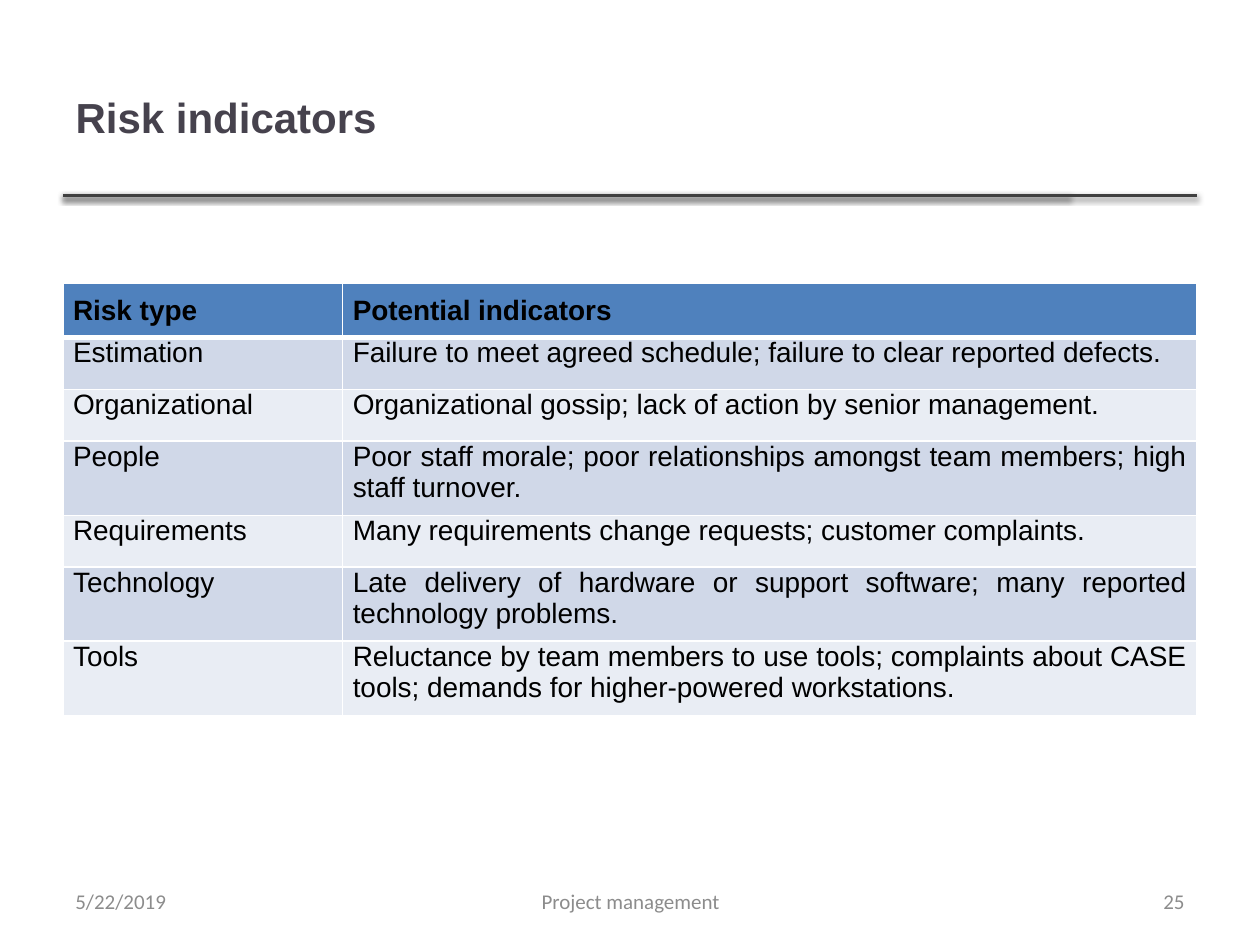
from dataclasses import dataclass

from lxml.etree import SubElement
from pptx import Presentation
from pptx.dml.color import RGBColor
from pptx.enum.shapes import MSO_CONNECTOR
from pptx.enum.text import MSO_ANCHOR, PP_ALIGN
from pptx.oxml import parse_xml
from pptx.oxml.ns import nsdecls, qn
from pptx.util import Inches, Pt

WIDTH, HEIGHT = 10, 7.5
MARGIN = WIDTH * 0.05
CONTENT = WIDTH - 2 * MARGIN
RULE_TOP = 1.55
ROW_HEIGHT, TALL_ROW = 0.41, 0.59
INSET = 0.09

WHITE = RGBColor(0xFF, 0xFF, 0xFF)
BLACK = RGBColor(0, 0, 0)
TITLE_GRAY = RGBColor(0x46, 0x42, 0x4D)
RULE_GRAY = RGBColor(0x40, 0x40, 0x40)
FOOTER_GRAY = RGBColor(0x8C, 0x8C, 0x8C)
HEADER_BLUE = RGBColor(0x4F, 0x81, 0xBD)
BANDS = (RGBColor(0xD0, 0xD8, 0xE8), RGBColor(0xE9, 0xED, 0xF4))


@dataclass(frozen=True)
class Risk:
    kind: str
    indicators: str
    height: float = ROW_HEIGHT


@dataclass(frozen=True)
class Footer:
    text: str
    left: float
    width: float
    align: PP_ALIGN


RISKS = (
    Risk("Risk type", "Potential indicators", 0.43),
    Risk("Estimation", "Failure to meet agreed schedule; failure to clear reported defects."),
    Risk("Organizational", "Organizational gossip; lack of action by senior management."),
    Risk("People", "Poor staff morale; poor relationships amongst team members; "
         "high staff turnover.", TALL_ROW),
    Risk("Requirements", "Many requirements change requests; customer complaints."),
    Risk("Technology", "Late delivery of hardware or support software; "
         "many reported technology problems.", TALL_ROW),
    Risk("Tools", "Reluctance by team members to use tools; complaints about CASE tools; "
         "demands for higher-powered workstations.", TALL_ROW),
)
FOOTERS = (
    Footer("5/22/2019", MARGIN, 2.33, PP_ALIGN.LEFT),
    Footer("Project management", 3.42, 3.17, PP_ALIGN.CENTER),
    Footer("25", WIDTH - MARGIN - 2.33, 2.33, PP_ALIGN.RIGHT),
)


def write(frame, text: str, *, size: float, color: RGBColor, font: str = "Arial",
          bold: bool = False, align: PP_ALIGN = PP_ALIGN.LEFT) -> None:
    para = frame.paragraphs[0]
    para.alignment = align
    span = para.add_run()
    span.text = text
    span.font.size = Pt(size)
    span.font.name = font
    span.font.bold = bold
    span.font.color.rgb = color


def add_rule(page, end: float) -> None:
    rule = page.shapes.add_connector(MSO_CONNECTOR.STRAIGHT, Inches(MARGIN), Inches(RULE_TOP),
                                     Inches(end), Inches(RULE_TOP))
    rule.line.color.rgb = RULE_GRAY
    rule.line.width = Pt(2)
    rule._element.spPr.append(parse_xml(
        f'<a:effectLst {nsdecls("a")}>'
        f'<a:outerShdw blurRad="{Pt(3.1)}" dist="{Pt(1.6)}" dir="5400000" rotWithShape="0">'
        '<a:srgbClr val="000000"><a:alpha val="38000"/></a:srgbClr>'
        '</a:outerShdw></a:effectLst>'))


def add_title(page, text: str) -> None:
    title = page.shapes.title
    title.left, title.top = Inches(MARGIN), Inches(0.3)
    title.width, title.height = Inches(7.98), Inches(RULE_TOP - 0.3)
    title.text_frame.vertical_anchor = MSO_ANCHOR.MIDDLE
    write(title.text_frame, text, size=24, color=TITLE_GRAY, bold=True)


def set_borders(cell, **widths: float) -> None:
    properties = cell._tc.get_or_add_tcPr()
    for position, side in enumerate("LRTB"):
        border = SubElement(properties, qn(f"a:ln{side}"), w=str(Pt(widths.get(side, 1))))
        fill = SubElement(border, qn("a:solidFill"))
        SubElement(fill, qn("a:srgbClr"), val=str(WHITE))
        properties.insert(position, border)


def add_risk_table(page) -> None:
    total = sum(risk.height for risk in RISKS)
    table = page.shapes.add_table(len(RISKS), 2, Inches(MARGIN), Inches(2.25),
                                  Inches(CONTENT), Inches(total)).table
    table.columns[0].width = Inches(2.22)
    table.columns[1].width = Inches(CONTENT - 2.22)
    for index, risk in enumerate(RISKS):
        header = index == 0
        table.rows[index].height = Inches(risk.height)
        for column, text in enumerate((risk.kind, risk.indicators)):
            cell = table.cell(index, column)
            cell.margin_left = cell.margin_right = Inches(0.08)
            cell.margin_top = Inches(INSET if header else 0)
            cell.margin_bottom = Inches(INSET)
            cell.fill.solid()
            cell.fill.fore_color.rgb = HEADER_BLUE if header else BANDS[(index - 1) % 2]
            set_borders(cell, T=3 if index == 1 else 1, B=3 if header else 1)
            write(cell.text_frame, text, size=16, color=BLACK, bold=header,
                  align=PP_ALIGN.JUSTIFY)


def add_footer(page, footer: Footer) -> None:
    box = page.shapes.add_textbox(Inches(footer.left), Inches(6.95),
                                  Inches(footer.width), Inches(0.4))
    box.text_frame.word_wrap = True
    box.text_frame.vertical_anchor = MSO_ANCHOR.MIDDLE
    write(box.text_frame, footer.text, size=12, color=FOOTER_GRAY, font="Calibri",
          align=footer.align)


def main() -> None:
    deck = Presentation()
    deck.slide_width, deck.slide_height = Inches(WIDTH), Inches(HEIGHT)
    page = deck.slides.add_slide(deck.slide_layouts.get_by_name("Title Only"))
    for end in (8.49, WIDTH - MARGIN):
        add_rule(page, end)
    add_title(page, "Risk indicators")
    add_risk_table(page)
    for footer in FOOTERS:
        add_footer(page, footer)
    deck.save("out.pptx")


if __name__ == "__main__":
    main()
